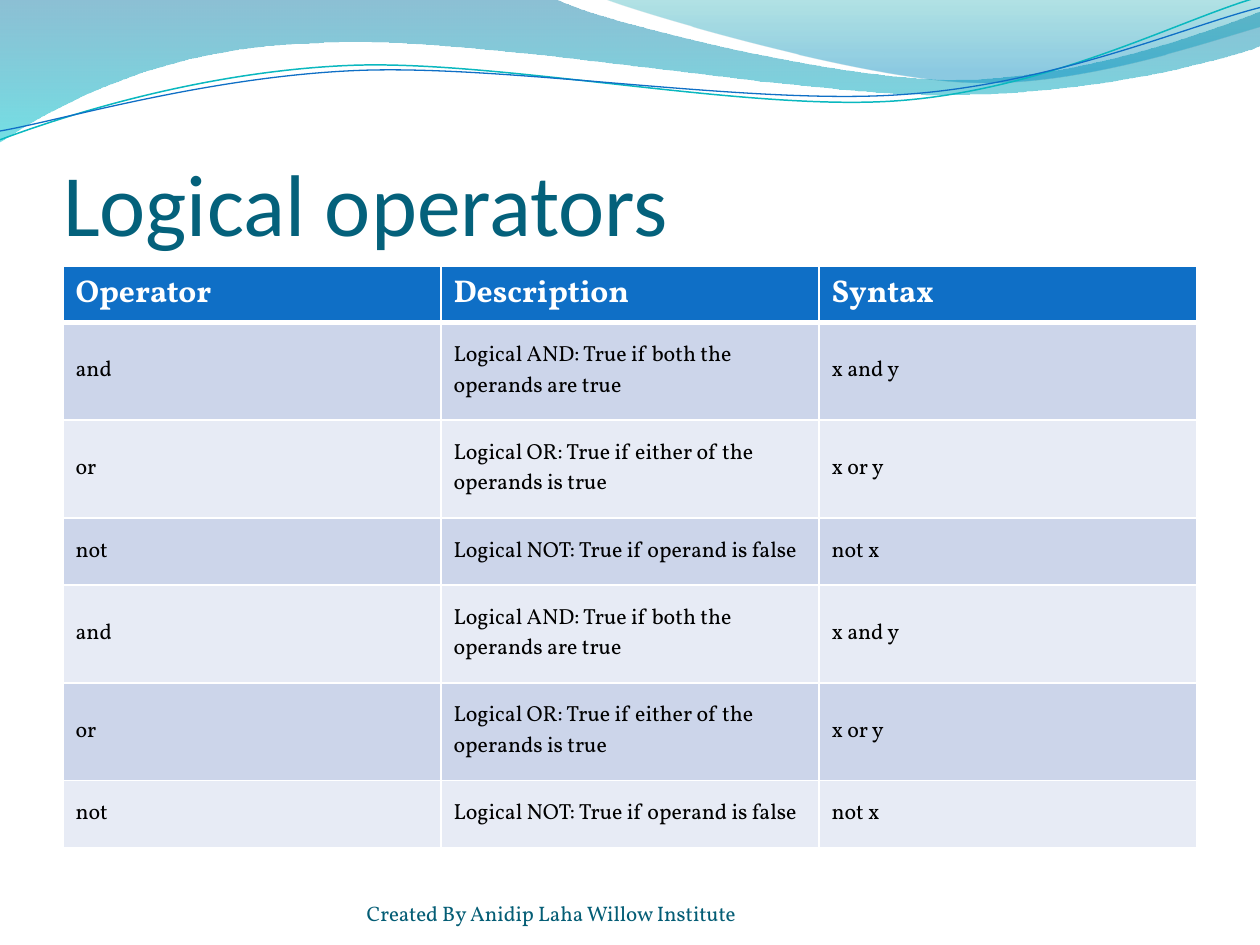
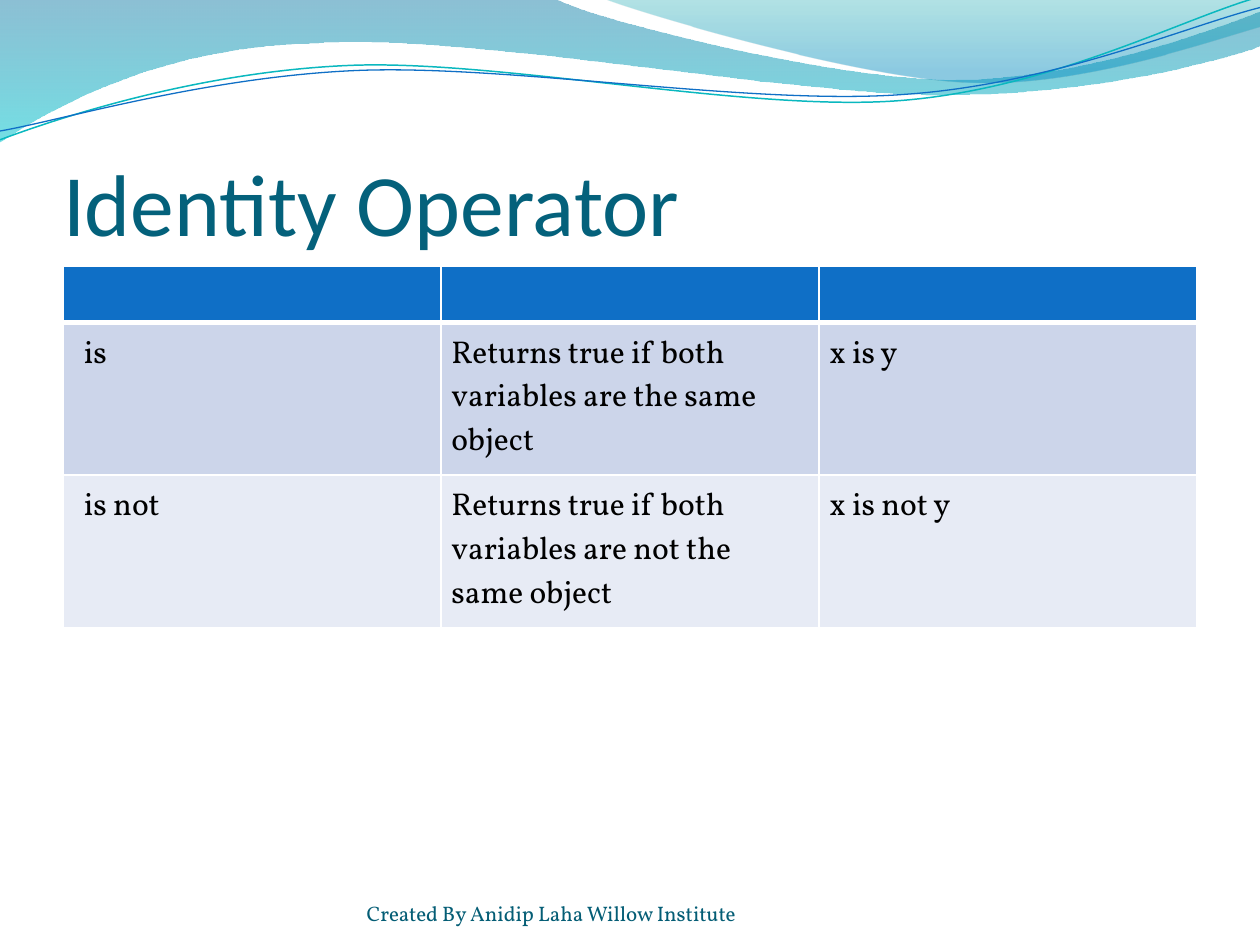
from lxml.etree import SubElement
from pptx import Presentation
from pptx.dml.color import RGBColor
from pptx.enum.text import MSO_ANCHOR, MSO_AUTO_SIZE, PP_ALIGN
from pptx.oxml.ns import qn
from pptx.util import Inches, Pt

COLS, ROWS = 10, 7.5
WHITE = RGBColor(0xFF, 0xFF, 0xFF)
BLACK = RGBColor(0, 0, 0)
BLUE = RGBColor(0x0F, 0x6F, 0xC6)
AQUA = RGBColor(0x0A, 0xB8, 0xBF)
TEAL = RGBColor(0x04, 0x61, 0x7B)
DEEP = RGBColor(0x04, 0x5D, 0x75)
BANDS = RGBColor(0xCC, 0xD5, 0xEA), RGBColor(0xE7, 0xEB, 0xF5)
HEAD, BODY = "Calibri", "Vollkorn"
CREDIT = "Created By Anidip Laha Willow Institute"

# Outlines in grid units: a pair is a straight step, six numbers are a curve.
# Gradient stops are (position, colour, opacity in percent).
WAVES = [
    ([(0, 0), (4.4, -0.01), (4.76, 0.17, 6.64, 0.63, 7.58, 0.63),
      (8.53, 0.63, 9.58, 0.26, 10, 0.09), (10.01, 0.36),
      (9.83, 0.44, 8.7, 0.76, 7.46, 0.75), (6.22, 0.75, 3.82, 0.28, 2.57, 0.34),
      (1.29, 0.36, 0.46, 0.83, -0.01, 1.13)],
     [(0, RGBColor(0x00, 0x74, 0xA1), 45), (1, RGBColor(0x00, 0xC6, 0xCF), 55)]),
    ([(4.79, -0.01), (5.09, 0.11, 6.82, 0.62, 7.69, 0.65),
      (8.56, 0.69, 9.61, 0.32, 10, 0.21), (10, 0)],
     [(0, RGBColor(0x00, 0xA1, 0xA9), 30), (0.8, RGBColor(0x00, 0x8B, 0xBF), 45)]),
]
LINES = [
    ([(0, 1.11), (0.48, 0.93, 1.58, 0.57, 2.77, 0.52),
      (3.95, 0.47, 5.93, 0.89, 7.13, 0.8), (8.33, 0.71, 9.38, 0.15, 9.98, -0.02)],
     AQUA, 0.85),
    ([(0, 1.04), (0.47, 0.96, 1.64, 0.61, 2.83, 0.56),
      (4.03, 0.51, 5.97, 0.84, 7.17, 0.75), (8.36, 0.67, 9.41, 0.21, 10, 0.06)],
     BLUE, 0.75),
]

LOGIC = [
    ("and", "Logical AND: True if both the operands are true", "x and y"),
    ("or", "Logical OR: True if either of the operands is true", "x or y"),
    ("not", "Logical NOT: True if operand is false", "not x"),
] * 2
SAME = [
    ("is", "Returns true if both variables are the same object", "x is y"),
    ("is not", "Returns true if both variables are not the same object", "x is not y"),
]


def bend(shape, steps):
    """Join each three line segments that stand for a curve into one."""
    legs = iter(list(shape._element.iter(qn("a:lnTo"))))
    for step in steps[1:]:
        first = next(legs)
        if len(step) == 6:
            first.tag = qn("a:cubicBezTo")
            for leg in (next(legs), next(legs)):
                first.append(leg[0])
                leg.getparent().remove(leg)


class Deck:
    def __init__(self):
        self.file = Presentation()
        self.file.slide_width = Inches(10)
        self.file.slide_height = Inches(7.5)
        self.slide = None

    def place(self, col, row):
        return (round(self.file.slide_width * col / COLS),
                round(self.file.slide_height * row / ROWS))

    def box(self, col, row, wide, high):
        return *self.place(col, row), *self.place(wide, high)

    def page(self, title):
        self.slide = self.file.slides.add_slide(self.file.slide_layouts[5])
        for steps, stops in WAVES:
            self.wave(steps, stops)
        for steps, color, width in LINES:
            self.line(steps, color, width)
        self.title(title)
        self.footer()

    def outline(self, steps, close):
        points = [self.place(*step[i:i + 2])
                  for step in steps for i in range(0, len(step), 2)]
        pen = self.slide.shapes.build_freeform(*points[0])
        pen.add_line_segments(points[1:], close=close)
        shape = pen.convert_to_shape()
        bend(shape, steps)
        shape.shadow.inherit = False
        return shape

    def wave(self, steps, stops):
        shape = self.outline(steps, True)
        shape.line.fill.background()
        shape.fill.gradient()
        shape.fill.gradient_angle = 270
        for stop, (spot, color, alpha) in zip(shape.fill.gradient_stops, stops):
            stop.position = spot
            stop.color.rgb = color
        tags = list(shape._element.spPr.iter(qn("a:srgbClr")))
        for tag, (spot, color, alpha) in zip(tags, stops):
            SubElement(tag, qn("a:alpha"), val=str(alpha * 1000))

    def line(self, steps, color, width):
        shape = self.outline(steps, False)
        shape.fill.background()
        shape.line.color.rgb = color
        shape.line.width = Pt(width)

    def style(self, frame, font, size, color, bold=False):
        for para in frame.paragraphs:
            para.alignment = PP_ALIGN.LEFT
            for run in para.runs:
                run.font.name, run.font.size = font, Pt(size)
                run.font.color.rgb, run.font.bold = color, bold

    def label(self, shape, text, font, size, color, top=0):
        frame = shape.text_frame
        frame.text = text
        frame.word_wrap = True
        frame.auto_size = MSO_AUTO_SIZE.NONE
        frame.vertical_anchor = MSO_ANCHOR.BOTTOM
        frame.margin_left = frame.margin_right = frame.margin_bottom = 0
        frame.margin_top = Inches(top)
        self.style(frame, font, size, color)

    def title(self, text):
        shape = self.slide.shapes.title
        shape.left, shape.top, shape.width, shape.height = self.box(0.5, 0.77, 9, 1.25)
        self.label(shape, text, HEAD, 50, TEAL, top=0.05)

    def footer(self):
        shape = self.slide.shapes.add_textbox(*self.box(2.91, 6.95, 3.67, 0.4))
        self.label(shape, CREDIT, BODY, 12, DEEP)

    def edge(self, cell, row):
        """Draw white cell borders, thick between header and body."""
        widths = {"L": 1, "R": 1, "T": 3 if row == 1 else 1, "B": 3 if row == 0 else 1}
        props = cell._tc.get_or_add_tcPr()
        for side, width in widths.items():
            line = SubElement(props, qn(f"a:ln{side}"), w=str(Pt(width)))
            fill = SubElement(line, qn("a:solidFill"))
            SubElement(fill, qn("a:srgbClr"), val=str(WHITE))

    def table(self, head, body, size, pad, anchor, first):
        """Pad is (side, top and bottom) in points; first is column one's left inset."""
        rows = [head, *body]
        area = self.box(0.5, 2.11, 9, 0.41 * len(rows))
        grid = self.slide.shapes.add_table(len(rows), len(head), *area).table
        grid.rows[0].height = self.place(0, 0.45)[1]
        for r, texts in enumerate(rows):
            for c, text in enumerate(texts):
                cell = grid.cell(r, c)
                self.edge(cell, r)
                cell.fill.solid()
                cell.fill.fore_color.rgb = BANDS[(r - 1) % 2] if r else BLUE
                cell.text_frame.text = text
                if r == 0:
                    self.style(cell.text_frame, BODY, 18, WHITE, True)
                    continue
                side, end = map(Pt, pad)
                cell.margin_left = side if c else Pt(first)
                cell.margin_right = side
                cell.margin_top = cell.margin_bottom = end
                cell.vertical_anchor = anchor
                self.style(cell.text_frame, BODY, size, BLACK)


def main():
    deck = Deck()
    deck.page("Logical operators")
    deck.table(("Operator", "Description", "Syntax"), LOGIC, 12.5,
               (7.2, 10.5), MSO_ANCHOR.MIDDLE, 7.2)
    deck.page("Identity Operator")
    deck.table(("", "", ""), SAME, 18, (6, 6), MSO_ANCHOR.TOP, 12)
    deck.file.save("out.pptx")


if __name__ == "__main__":
    main()
